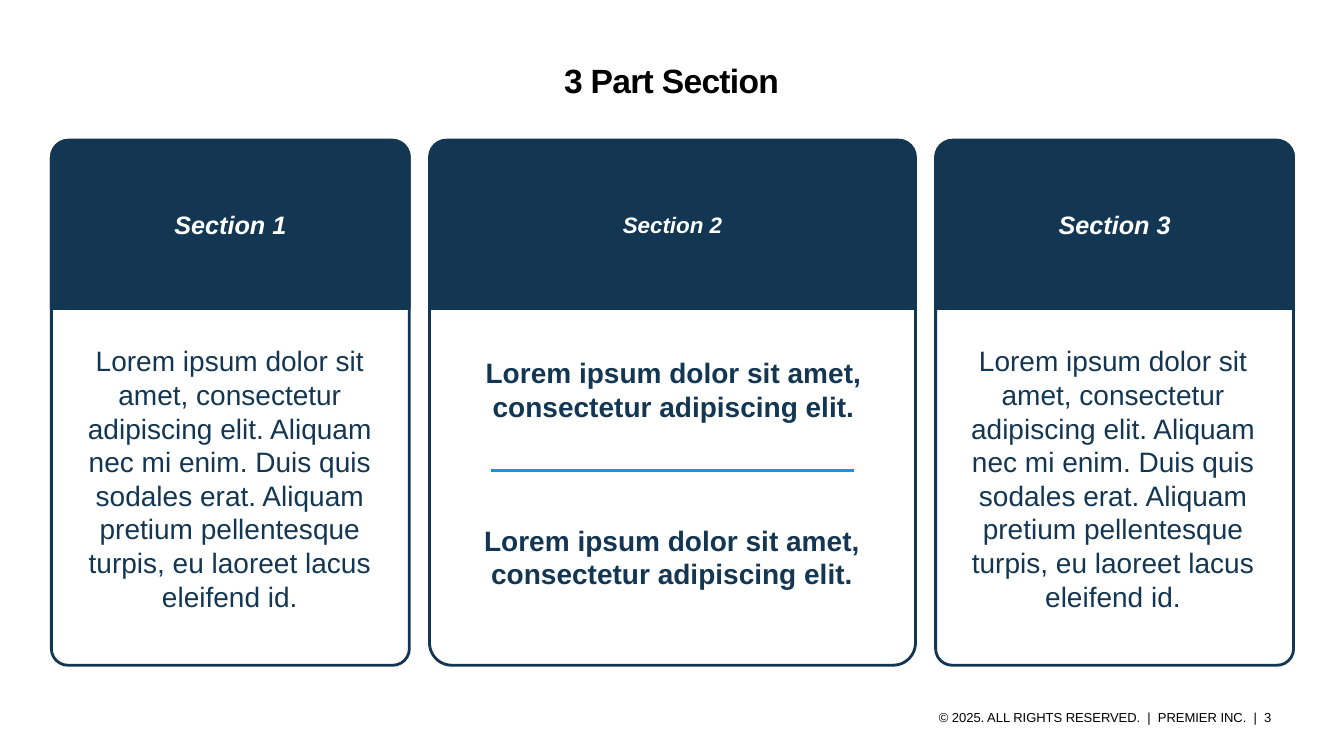
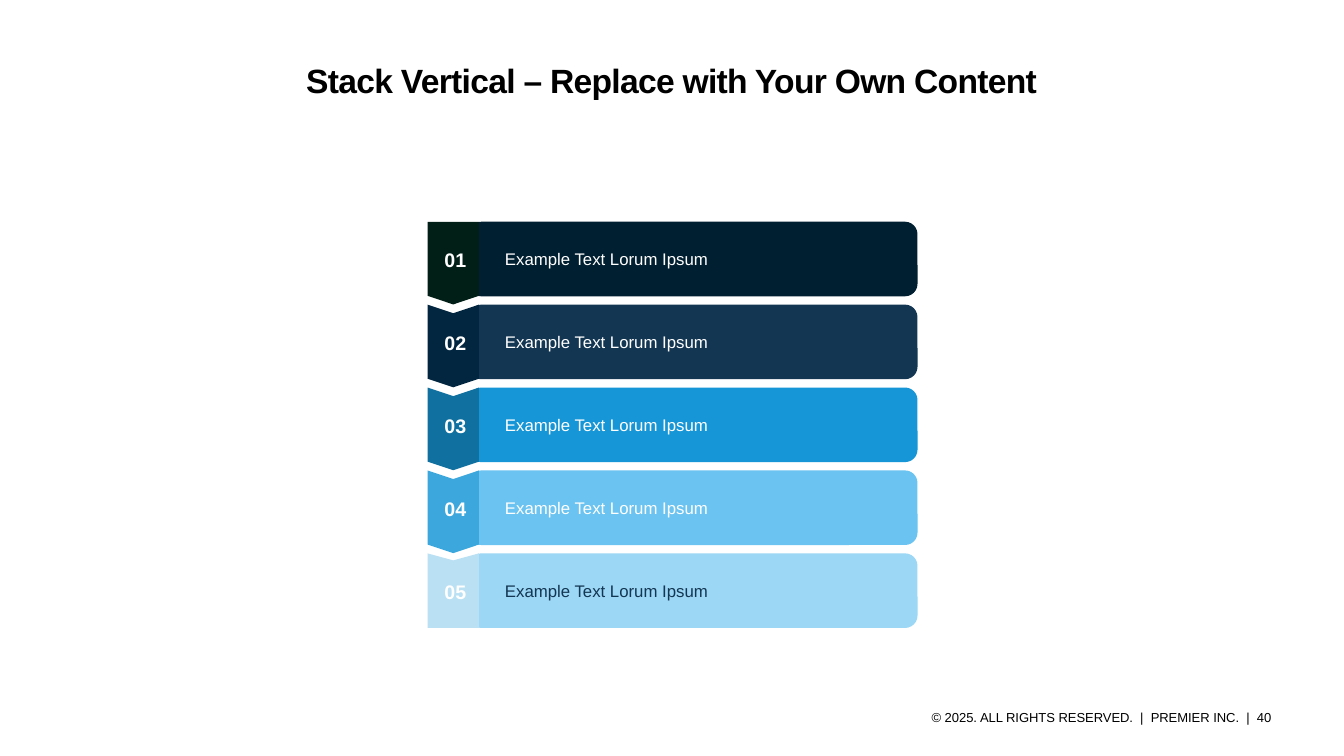
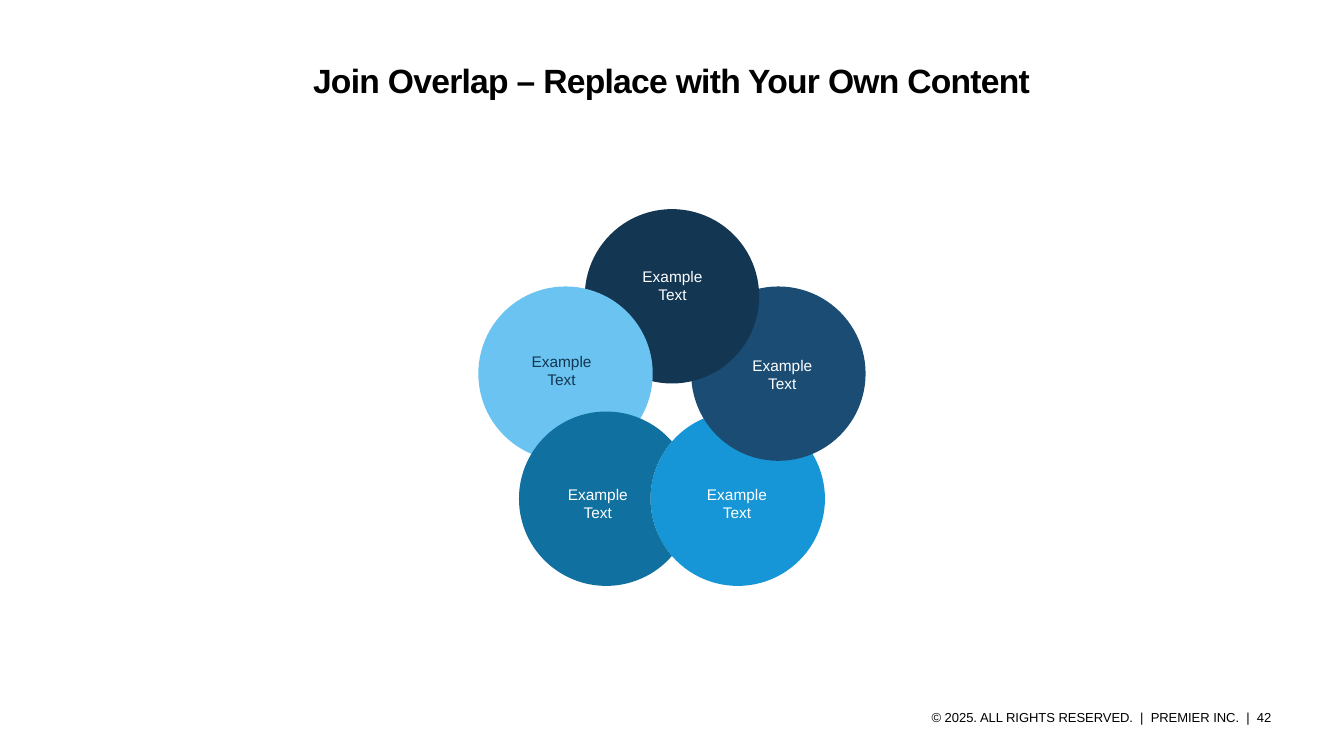
import math
from dataclasses import dataclass

import pptx
import pptx.dml.color
import pptx.enum.shapes
import pptx.enum.text
import pptx.oxml.ns
import pptx.presentation
import pptx.shapes.autoshape
import pptx.slide
import pptx.text.text
import pptx.util
from lxml import etree

Inches = pptx.util.Inches
Pt = pptx.util.Pt
PRESET = pptx.enum.shapes.MSO_SHAPE
ALIGN = pptx.enum.text.PP_ALIGN
ANCHOR = pptx.enum.text.MSO_ANCHOR
FIT = pptx.enum.text.MSO_AUTO_SIZE

Box = tuple[float, float, float, float]
Point = tuple[float, float]

FONT = "Arial"
BLACK, WHITE = "000000", "FFFFFF"
NAVY, BLUE, SKY, TEAL = "133652", "1696D6", "6AC3F0", "1071A0"
COPYRIGHT = "© 2025. ALL RIGHTS RESERVED.  |  PREMIER INC.  |  "
SHORT_LOREM = "Lorem ipsum dolor sit amet, consectetur adipiscing elit."
LONG_LOREM = (
    SHORT_LOREM + " Aliquam nec mi enim. Duis quis sodales erat. "
    "Aliquam pretium pellentesque turpis, eu laoreet lacus eleifend id."
)


@dataclass(frozen=True)
class Passage:
    box: Box
    text: str
    bold: bool = False


@dataclass(frozen=True)
class Card:
    left: float
    width: float
    heading: str
    heading_size: float
    passages: tuple[Passage, ...]


@dataclass(frozen=True)
class Step:
    bar_fill: str
    tab_fill: str
    text_color: str = WHITE


@dataclass(frozen=True)
class Petal:
    turn: int
    fill: str
    label_at: Point
    text_color: str = WHITE


CARDS = (
    Card(0.51, 3.55, "Section 1", 18, (Passage((0.75, 3.35, 3.06, 2.79), LONG_LOREM),)),
    Card(4.26, 4.82, "Section 2", 16, (
        Passage((4.49, 3.48, 4.38, 0.77), SHORT_LOREM, True),
        Passage((4.39, 5.14, 4.55, 0.77), SHORT_LOREM, True),
    )),
    Card(9.28, 3.55, "Section 3", 18, (Passage((9.51, 3.35, 3.06, 2.79), LONG_LOREM),)),
)
CARD_TOP, CARD_HEIGHT, HEADER_TOP, HEADER_HEIGHT = 1.4, 5.2, 1.39, 1.67

STEPS = (
    Step("001F30", "011F17"),
    Step(NAVY, "02263F"),
    Step(BLUE, TEAL),
    Step(SKY, "3BA7DD"),
    Step("9CD7F5", "B9E0F3", NAVY),
)
STEP_TOP, STEP_PITCH, BAR_HEIGHT = 2.2, 0.8225, 0.74
TAB_CENTER, TAB_WIDTH, TAB_LENGTH, TAB_NOTCH = 4.495, 0.51, 0.82, 0.167

PETALS = (
    Petal(2, BLUE, (6.86, 4.76)),
    Petal(1, "1B4C73", (7.31, 3.48)),
    Petal(0, NAVY, (6.22, 2.6)),
    Petal(4, SKY, (5.12, 3.44), NAVY),
    Petal(3, TEAL, (5.48, 4.76)),
)
FLOWER_CENTER, FLOWER_RADIUS, PETAL_RADIUS = (6.665, 4.05), 1.11, 0.865


def rgb(value: str) -> pptx.dml.color.RGBColor:
    return pptx.dml.color.RGBColor.from_string(value)


def write(
    frame: pptx.text.text.TextFrame,
    text: str,
    *,
    size: float,
    color: str = BLACK,
    bold: bool = False,
    italic: bool = False,
    align: ALIGN = ALIGN.LEFT,
    anchor: ANCHOR = ANCHOR.TOP,
    insets: Box = (0.1, 0.05, 0.1, 0.05),
    wrap: bool = True,
    fit: FIT = FIT.NONE,
    line_spacing: float | None = None,
    space_after: float = 0,
    tracking: float = 0,
) -> None:
    frame.word_wrap = wrap
    frame.auto_size = fit
    frame.vertical_anchor = anchor
    frame.margin_left, frame.margin_top, frame.margin_right, frame.margin_bottom = map(Inches, insets)
    paragraph = frame.paragraphs[0]
    paragraph.alignment = align
    paragraph.line_spacing = line_spacing
    paragraph.space_before = Pt(0)
    paragraph.space_after = Pt(space_after)
    run = paragraph.add_run()
    run.text = text
    run.font.name = FONT
    run.font.size = Pt(size)
    run.font.bold = bold
    run.font.italic = italic
    run.font.color.rgb = rgb(color)
    if tracking:
        run.font._element.set("spc", str(round(tracking * 100)))


def add_text(slide: pptx.slide.Slide, box: Box, text: str, **text_format) -> None:
    frame = slide.shapes.add_textbox(*map(Inches, box)).text_frame
    write(frame, text, fit=FIT.SHAPE_TO_FIT_TEXT, **text_format)


def paint(shape: pptx.shapes.autoshape.Shape, fill: str | None, outline: str | None = None) -> None:
    shape.shadow.inherit = False
    if fill:
        shape.fill.solid()
        shape.fill.fore_color.rgb = rgb(fill)
    else:
        shape.fill.background()
    if outline:
        shape.line.color.rgb = rgb(outline)
        shape.line.width = Pt(2)
    else:
        shape.line.fill.background()


def add_preset(
    slide: pptx.slide.Slide,
    preset: PRESET,
    box: Box,
    fill: str | None,
    outline: str | None = None,
    adjustments: tuple[float, ...] = (),
    rotation: float = 0,
) -> pptx.shapes.autoshape.Shape:
    shape = slide.shapes.add_shape(preset, *map(Inches, box))
    for index, value in enumerate(adjustments):
        shape.adjustments[index] = value
    shape.rotation = rotation
    paint(shape, fill, outline)
    return shape


def add_outline(slide: pptx.slide.Slide, points: list[Point], fill: str) -> None:
    corners = [(Inches(x), Inches(y)) for x, y in points]
    builder = slide.shapes.build_freeform(*corners[0])
    builder.add_line_segments(corners[1:], close=True)
    paint(builder.convert_to_shape(), fill)


def add_slide(deck: pptx.presentation.Presentation, title: str, number: int) -> pptx.slide.Slide:
    slide = deck.slides.add_slide(deck.slide_layouts[5])
    heading = slide.shapes.title
    heading.left, heading.top, heading.width, heading.height = map(Inches, (0.5, 0.43, 12.32, 0.78))
    write(heading.text_frame, title, size=24, bold=True, align=ALIGN.CENTER, anchor=ANCHOR.MIDDLE,
          insets=(0, 0, 0, 0), line_spacing=0.86, tracking=-0.5)
    add_text(slide, (8.3, 6.95, 4.49, 0.34), f"{COPYRIGHT}{number}", size=9.3, align=ALIGN.RIGHT,
             anchor=ANCHOR.MIDDLE, insets=(0.18, 0.09, 0.18, 0.09))
    return slide


def draw_card(slide: pptx.slide.Slide, card: Card) -> None:
    add_preset(slide, PRESET.ROUNDED_RECTANGLE, (card.left, CARD_TOP, card.width, CARD_HEIGHT),
               None, NAVY, (0.046,))
    header = add_preset(slide, PRESET.ROUND_2_SAME_RECTANGLE,
                        (card.left, HEADER_TOP, card.width, HEADER_HEIGHT), NAVY, NAVY, (0.101, 0))
    write(header.text_frame, card.heading, size=card.heading_size, color=WHITE, bold=True, italic=True,
          align=ALIGN.CENTER, anchor=ANCHOR.MIDDLE, insets=(0.1, 0.05, 0.1, 0.1))
    for passage in card.passages:
        add_text(slide, passage.box, passage.text, size=20, color=NAVY, bold=passage.bold,
                 align=ALIGN.CENTER, anchor=ANCHOR.TOP if passage.bold else ANCHOR.MIDDLE,
                 space_after=0 if passage.bold else 10)


def draw_divider(slide: pptx.slide.Slide) -> None:
    divider = slide.shapes.add_connector(
        pptx.enum.shapes.MSO_CONNECTOR.STRAIGHT, *map(Inches, (4.87, 4.67, 8.47, 4.67)))
    divider.line.color.rgb = rgb(BLUE)
    divider.line.width = Pt(2)
    etree.SubElement(divider._element.spPr, pptx.oxml.ns.qn("a:effectLst"))


def draw_step(slide: pptx.slide.Slide, index: int, step: Step) -> None:
    top = STEP_TOP + index * STEP_PITCH
    add_preset(slide, PRESET.ROUNDED_RECTANGLE, (4.65, top, 4.45, BAR_HEIGHT), step.bar_fill)
    if index == len(STEPS) - 1:
        left, right = TAB_CENTER - TAB_WIDTH / 2, TAB_CENTER + TAB_WIDTH / 2
        bottom = top + BAR_HEIGHT
        add_outline(slide, [(left, top), (TAB_CENTER, top + 0.07), (right, top),
                            (right, bottom), (left, bottom)], step.tab_fill)
    else:
        tab_box = (TAB_CENTER - TAB_LENGTH / 2, top + (TAB_LENGTH - TAB_WIDTH) / 2, TAB_LENGTH, TAB_WIDTH)
        add_preset(slide, PRESET.CHEVRON if index else PRESET.PENTAGON, tab_box, step.tab_fill,
                   adjustments=(TAB_NOTCH,), rotation=90)
    add_text(slide, (4.91, top + 0.22, 2.72, 0.3), "Example Text Lorum Ipsum", size=12, color=step.text_color)
    add_text(slide, (4.31, top + 0.21, 0.42, 0.34), f"{index + 1:02}", size=14, color=WHITE,
             bold=True, wrap=False)


def petal_center(turn: int) -> Point:
    angle = math.radians(72 * turn - 90)
    x, y = FLOWER_CENTER
    return x + FLOWER_RADIUS * math.cos(angle), y + FLOWER_RADIUS * math.sin(angle)


def arc(center: Point, start: float, end: float, steps: int = 90) -> list[Point]:
    angles = (start + (end - start) * step / steps for step in range(steps + 1))
    return [(center[0] + PETAL_RADIUS * math.cos(angle), center[1] + PETAL_RADIUS * math.sin(angle))
            for angle in angles]


def draw_petal(slide: pptx.slide.Slide, petal: Petal) -> None:
    center = petal_center(petal.turn)
    if petal is PETALS[-1]:
        neighbor = petal_center(PETALS[0].turn)
        meeting = math.acos((neighbor[0] - center[0]) / 2 / PETAL_RADIUS)
        crescent = arc(center, meeting, 2 * math.pi - meeting)
        crescent += arc(neighbor, math.pi + meeting, math.pi - meeting)[1:-1]
        add_outline(slide, crescent, petal.fill)
    else:
        box = (center[0] - PETAL_RADIUS, center[1] - PETAL_RADIUS, 2 * PETAL_RADIUS, 2 * PETAL_RADIUS)
        add_preset(slide, PRESET.OVAL, box, petal.fill)
    add_text(slide, (*petal.label_at, 0.9, 0.47), "Example Text", size=11, color=petal.text_color,
             align=ALIGN.CENTER)


def main() -> None:
    deck = pptx.Presentation()
    deck.slide_width, deck.slide_height = Inches(13.33), Inches(7.5)

    sections = add_slide(deck, "3 Part Section", 3)
    for card in CARDS:
        draw_card(sections, card)
    draw_divider(sections)

    stack = add_slide(deck, "Stack Vertical – Replace with Your Own Content", 40)
    for index, step in enumerate(STEPS):
        draw_step(stack, index, step)

    flower = add_slide(deck, "Join Overlap – Replace with Your Own Content", 42)
    for petal in PETALS:
        draw_petal(flower, petal)

    deck.save("out.pptx")


if __name__ == "__main__":
    main()
